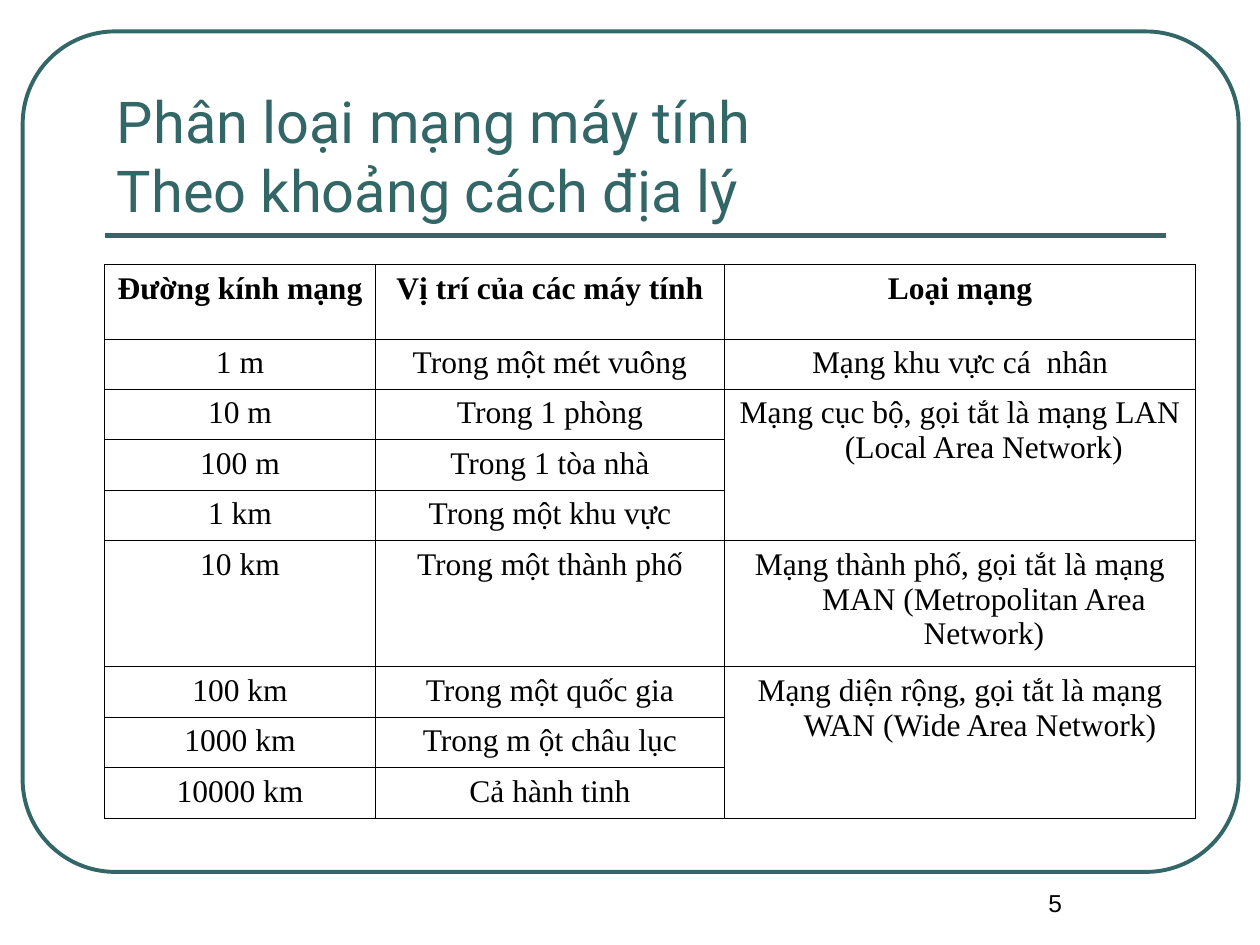
import pptx
import pptx.dml.color
import pptx.enum.shapes
import pptx.enum.text
import pptx.oxml
import pptx.oxml.ns
import pptx.util
from pptx.util import Inches

TEAL = pptx.dml.color.RGBColor(0x33, 0x66, 0x66)
BLACK = pptx.dml.color.RGBColor(0, 0, 0)
CENTER = pptx.enum.text.PP_ALIGN.CENTER
LEFT = pptx.enum.text.PP_ALIGN.LEFT
TOP = pptx.enum.text.MSO_ANCHOR.TOP
BOTTOM = pptx.enum.text.MSO_ANCHOR.BOTTOM

COLUMN_WIDTHS = [2.15, 2.77, 3.74]
ROW_HEIGHTS = [0.59] + [0.4] * 4 + [1] + [0.4] * 3
NETWORKS = [
    ("Đường kính mạng", "Vị trí của các máy tính", "Loại mạng"),
    ("1 m", "Trong một mét vuông", "Mạng khu vực cá  nhân"),
    ("10 m", "Trong 1 phòng", "Mạng cục bộ, gọi tắt là mạng LAN (Local Area Network)"),
    ("100 m", "Trong 1 tòa nhà", None),
    ("1 km", "Trong một khu vực", None),
    ("10 km", "Trong một thành phố",
     "Mạng thành phố, gọi tắt là mạng MAN (Metropolitan Area Network)"),
    ("100 km", "Trong một quốc gia",
     "Mạng diện rộng, gọi tắt là mạng WAN (Wide Area Network) "),
    ("1000 km", "Trong m ột châu lục", None),
    ("10000 km", "Cả hành tinh", None),
]
MERGED_ROWS = [(2, 4), (6, 8)]


class SlideBuilder:
    title_font = "Roboto"
    table_font = "Times New Roman"
    number_font = "Arial"
    border_width = pptx.util.Pt(0.45)

    def __init__(self, slide):
        self.slide = slide

    def frame(self, left, top, width, height, rounding):
        frame = self.slide.shapes.add_shape(
            pptx.enum.shapes.MSO_SHAPE.ROUNDED_RECTANGLE,
            Inches(left), Inches(top), Inches(width), Inches(height))
        frame.adjustments[0] = rounding
        frame.shadow.inherit = False
        frame.fill.background()
        frame.line.color.rgb = TEAL
        frame.line.width = pptx.util.Pt(2.25)

    def rule(self, left, right, y):
        rule = self.slide.shapes.add_connector(
            pptx.enum.shapes.MSO_CONNECTOR.STRAIGHT,
            Inches(left), Inches(y), Inches(right), Inches(y))
        rule.line.color.rgb = TEAL
        rule.line.width = pptx.util.Pt(3)
        pptx.oxml.ns.qn("a:effectLst")
        rule._element.spPr.append(pptx.oxml.parse_xml(
            f'<a:effectLst {pptx.oxml.ns.nsdecls("a")}/>'))

    def style(self, paragraph, font, size, color, align, bold=False):
        paragraph.alignment = align
        paragraph.font.name = font
        paragraph.font.size = pptx.util.Pt(size)
        paragraph.font.color.rgb = color
        paragraph.font.bold = bold

    def text(self, left, top, width, height, words, font, size, color, align, anchor):
        box = self.slide.shapes.add_textbox(
            Inches(left), Inches(top), Inches(width), Inches(height))
        box.text_frame.word_wrap = True
        box.text_frame.vertical_anchor = anchor
        box.text_frame.text = words
        self.style(box.text_frame.paragraphs[0], font, size, color, align)

    def border(self, cell):
        properties = cell._tc.get_or_add_tcPr()
        for position, side in enumerate(("lnL", "lnR", "lnT", "lnB")):
            properties.insert(position, pptx.oxml.parse_xml(
                f'<a:{side} {pptx.oxml.ns.nsdecls("a")} w="{self.border_width}">'
                f'<a:solidFill><a:srgbClr val="{BLACK}"/></a:solidFill></a:{side}>'))

    def table(self, left, top, widths, heights, rows, merges):
        table = self.slide.shapes.add_table(
            len(rows), len(widths), Inches(left), Inches(top),
            Inches(sum(widths)), Inches(sum(heights))).table
        table.horz_banding = False
        for column, width in zip(table.columns, widths):
            column.width = Inches(width)
        for row, height in zip(table.rows, heights):
            row.height = Inches(height)
        for r, row in enumerate(rows):
            for c, words in enumerate(row):
                cell = table.cell(r, c)
                cell.fill.background()
                self.border(cell)
                cell.text = words or ""
                paragraph = cell.text_frame.paragraphs[0]
                self.style(paragraph, self.table_font, 18, BLACK, CENTER, r == 0)
                indents = paragraph._p.get_or_add_pPr()
                indents.set("marL", str(Inches(0.38)))
                indents.set("indent", str(Inches(-0.38)))
        last = len(widths) - 1
        for first_row, last_row in merges:
            table.cell(first_row, last).merge(table.cell(last_row, last))


def main():
    deck = pptx.Presentation()
    deck.slide_width = Inches(10)
    deck.slide_height = Inches(7.5)
    builder = SlideBuilder(deck.slides.add_slide(deck.slide_layouts[6]))
    builder.frame(0.18, 0.25, 9.65, 6.67, 0.11)
    builder.rule(0.83, 9.25, 1.87)
    builder.text(7.5, 7, 1.75, 0.5, "5", builder.number_font, 14, BLACK, CENTER, TOP)
    builder.text(0.83, 0.58, 8.42, 1.25,
                 "Phân loại mạng máy tính\vTheo khoảng cách địa lý",
                 builder.title_font, 33, TEAL, LEFT, BOTTOM)
    builder.table(0.83, 2.1, COLUMN_WIDTHS, ROW_HEIGHTS, NETWORKS, MERGED_ROWS)
    deck.save("out.pptx")


if __name__ == "__main__":
    main()
